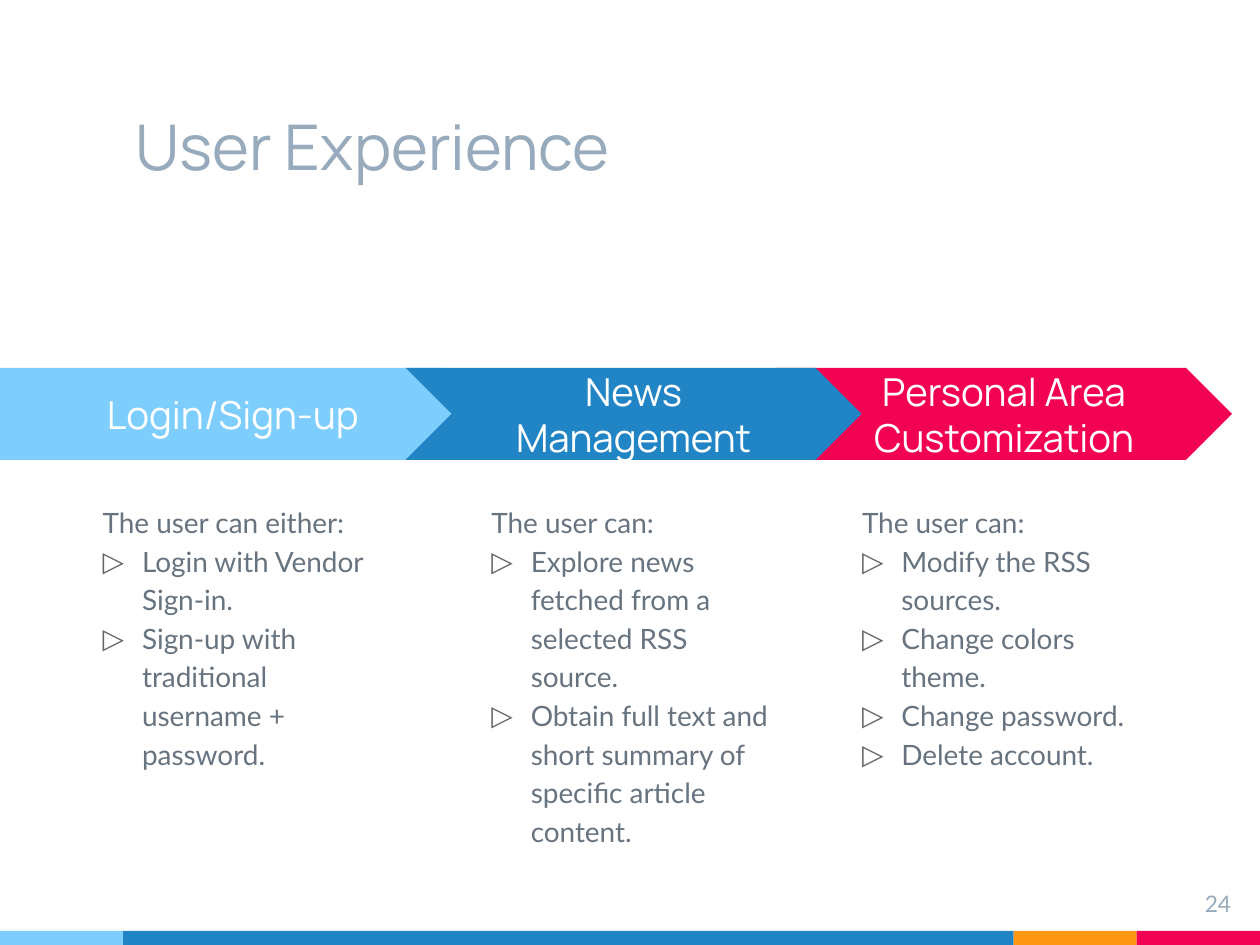
from lxml import etree
from pptx import Presentation
from pptx.dml.color import RGBColor
from pptx.enum import shapes, text
from pptx.oxml.ns import qn
from pptx.util import Pt

SKY = RGBColor(0x7E, 0xCE, 0xFD)
BLUE = RGBColor(0x21, 0x85, 0xC5)
ORANGE = RGBColor(0xFF, 0x97, 0x15)
RED = RGBColor(0xF2, 0x02, 0x53)
WHITE = RGBColor(0xFF, 0xFF, 0xFF)
MIST = RGBColor(0x97, 0xAB, 0xBC)
SLATE = RGBColor(0x67, 0x74, 0x80)
BULLET_GREY = RGBColor(0x66, 0x66, 0x66)
SHAPE, ALIGN, ANCHOR = shapes.MSO_SHAPE, text.PP_ALIGN, text.MSO_ANCHOR


def add_block(kind, x, y, w, h, color):
    sp = s.shapes.add_shape(kind, Pt(x), Pt(y), Pt(w), Pt(h))
    sp.shadow.inherit = False
    sp.fill.solid()
    sp.fill.fore_color.rgb = color
    sp.line.fill.background()
    return sp


def write(sp, lines, size, color, font="Lato", align=ALIGN.LEFT,
          anchor=ANCHOR.TOP, spacing=None, bullet=None):
    """Fill sp with lines; with a bullet, every line after the first gets it."""
    tf = sp.text_frame
    tf.word_wrap = True
    tf.vertical_anchor = anchor
    tf.margin_left = tf.margin_right = tf.margin_top = tf.margin_bottom = Pt(7.2)
    for i, line in enumerate(lines):
        p = tf.paragraphs[0] if i == 0 else tf.add_paragraph()
        p.alignment = align
        if spacing:
            p.line_spacing = spacing
        r = p.add_run()
        r.text = line
        r.font.name, r.font.size = font, Pt(size)
        r.font.color.rgb = color
        if bullet and i:
            pPr = p._p.get_or_add_pPr()
            pPr.set("marL", str(Pt(22.5)))
            pPr.set("indent", str(-Pt(22.5)))
            clr = etree.SubElement(pPr, qn("a:buClr"))
            etree.SubElement(clr, qn("a:srgbClr"), val=str(BULLET_GREY))
            etree.SubElement(pPr, qn("a:buFont"), typeface=font)
            etree.SubElement(pPr, qn("a:buChar"), char=bullet)


prs = Presentation()
prs.slide_width, prs.slide_height = Pt(720), Pt(540)
s = prs.slides.add_slide(prs.slide_layouts[6])

# Footer stripe
x = 0
for w, color in [(70.4, SKY), (508.8, BLUE), (70.4, ORANGE), (70.4, RED)]:
    add_block(SHAPE.RECTANGLE, x, 532, w, 8, color)
    x += w

title = s.shapes.add_textbox(Pt(70.4), Pt(21.6), Pt(508.8), Pt(90))
write(title, ["User Experience"], 36, MIST, font="Manrope", anchor=ANCHOR.BOTTOM)

# Process arrows, back to front
arrows = [
    (SHAPE.CHEVRON, 443.5, 260.5, RED, "Personal Area Customization"),
    (SHAPE.PENTAGON, 0, 279.2, SKY, "Login/Sign-up"),
    (SHAPE.CHEVRON, 231.8, 260.5, BLUE, "News Management"),
]
for kind, x, w, color, label in arrows:
    sp = add_block(kind, x, 210.2, w, 52.6, color)
    sp.adjustments[0] = 0.5
    write(sp, [label], 22, WHITE, font="Manrope", align=ALIGN.CENTER,
          anchor=ANCHOR.MIDDLE)

columns = [
    (51.6, ["The user can either:", "Login with Vendor Sign-in.",
            "Sign-up with traditional username + password."]),
    (273.7, ["The user can:", "Explore news fetched from a selected RSS source.",
             "Obtain full text and short summary of specific article content."]),
    (485.5, ["The user can:", "Modify the RSS sources.", "Change colors theme.",
             "Change password.", "Delete account."]),
]
for x, lines in columns:
    sp = s.shapes.add_textbox(Pt(x), Pt(278.8), Pt(176.4), Pt(206))
    write(sp, lines, 16, SLATE, spacing=1.15, bullet="▷")

number = s.shapes.add_textbox(Pt(667.4), Pt(501.1), Pt(43.2), Pt(33))
write(number, ["24"], 13, MIST, align=ALIGN.RIGHT)

prs.save("out.pptx")
